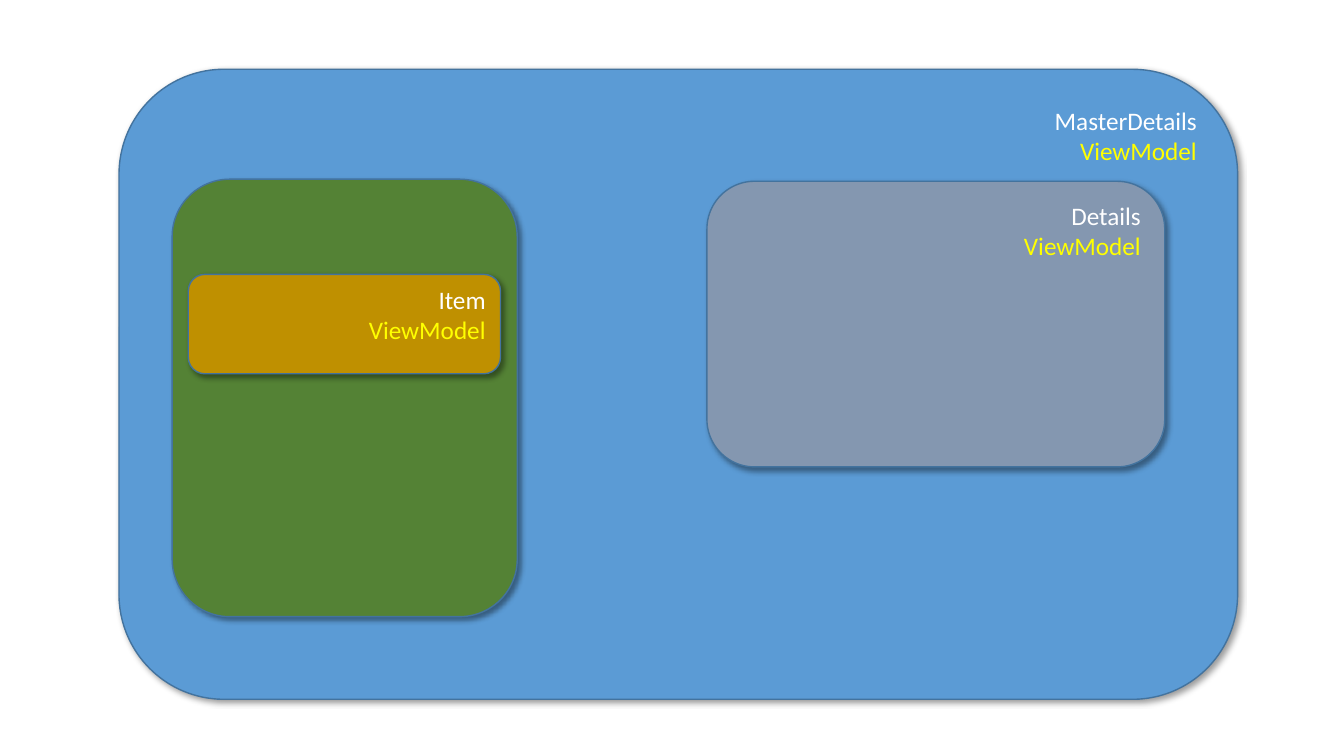
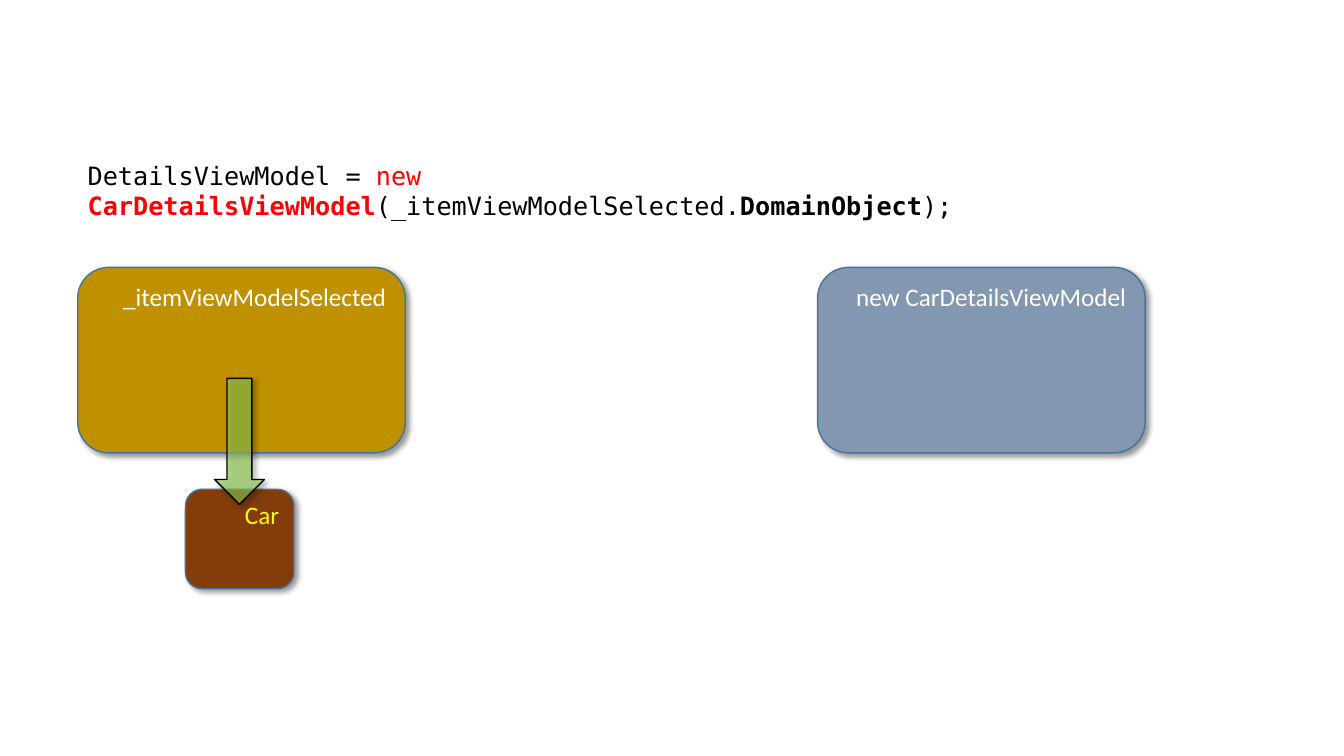
from lxml.etree import SubElement
from pptx import Presentation
from pptx.dml.color import RGBColor
from pptx.enum.shapes import MSO_SHAPE as Preset
from pptx.enum.text import MSO_ANCHOR as Anchor, MSO_AUTO_SIZE as AutoSize, PP_ALIGN as Align
from pptx.oxml.ns import qn
from pptx.util import Pt

# Shared look
WHITE, YELLOW, BLACK, RED = "FFFFFF", "FFFF00", "000000", "FF0000"
MASTER, LIST, ITEM, DETAILS = "5B9BD5", "548235", "BF9000", "8497B0"
DOMAIN, ARROW, OUTLINE = "843C0B", "92D050", "43739E"
LABEL_FONT, CODE_FONT = "Calibri", "DejaVu Sans Mono"


def rgb(hex_color):
    return RGBColor.from_string(hex_color)


def set_all(target, values):
    for attribute, value in values.items():
        setattr(target, attribute, value)


def add_run(paragraph, text, color, font=LABEL_FONT, bold=False):
    run = paragraph.add_run()
    run.text = text
    set_all(run.font, {"name": font, "size": Pt(18), "bold": bold})
    run.font.color.rgb = rgb(color)


def add_shadow(shape):
    shape.shadow.inherit = False
    effects = shape._element.spPr.find(qn("a:effectLst"))
    shadow = SubElement(effects, qn("a:outerShdw"), blurRad=str(Pt(4)),
                        dist=str(Pt(3)), dir="2700000", algn="tl", rotWithShape="0")
    tint = SubElement(shadow, qn("a:srgbClr"), val=BLACK)
    SubElement(tint, qn("a:alpha"), val="40000")


def add_block(slide, preset, box, fill, outline=OUTLINE):
    block = slide.shapes.add_shape(preset, *map(Pt, box))
    block.fill.solid()
    block.fill.fore_color.rgb = rgb(fill)
    block.line.color.rgb = rgb(outline)
    block.line.width = Pt(1)
    add_shadow(block)
    return block


def add_card(slide, box, fill, *lines):
    """Rounded card with (text, color) lines at its top right."""
    card = add_block(slide, Preset.ROUNDED_RECTANGLE, box, fill)
    frame = card.text_frame
    set_all(frame, {"word_wrap": True, "vertical_anchor": Anchor.TOP})
    for index, (text, color) in enumerate(lines):
        paragraph = frame.add_paragraph() if index else frame.paragraphs[0]
        paragraph.alignment = Align.RIGHT
        add_run(paragraph, text, color)


def inside(box, dx, dy, width, height):
    return box[0] + dx, box[1] + dy, width, height


def view_model(name):
    return (name, WHITE), ("ViewModel", YELLOW)


# Slide 1: nested view models
def add_item_list(slide, box):
    add_card(slide, box, LIST)
    add_card(slide, inside(box, 11.5, 68, 223, 71), ITEM, *view_model("Item"))


def build_master_details(slide, box):
    add_card(slide, box, MASTER, *view_model("MasterDetails"))
    add_item_list(slide, inside(box, 38, 78.5, 246.5, 312.5))
    add_card(slide, inside(box, 420, 80, 327, 204), DETAILS, *view_model("Details"))


# Slide 2: creating the details view model
def add_code(slide, box):
    frame = slide.shapes.add_textbox(*map(Pt, box)).text_frame
    set_all(frame, {"word_wrap": True, "auto_size": AutoSize.SHAPE_TO_FIT_TEXT})
    for text, color, bold in (
        ("DetailsViewModel = ", BLACK, False),
        ("new ", RED, False),
        ("CarDetailsViewModel", RED, True),
        ("(_itemViewModelSelected.", BLACK, False),
        ("DomainObject", BLACK, True),
        (");", BLACK, False),
    ):
        add_run(frame.paragraphs[0], text, color, CODE_FONT, bold)


def add_selected_item(slide, box):
    add_card(slide, box, ITEM, ("_itemViewModelSelected", WHITE))
    add_card(slide, inside(box, 77, 158.5, 77.5, 71), DOMAIN, ("Car", YELLOW))
    arrow = add_block(slide, Preset.RIGHT_ARROW, inside(box, 70.5, 106.5, 90, 35.5),
                      ARROW, BLACK)
    arrow.rotation = 90
    tint = arrow._element.spPr.find(qn("a:solidFill")).find(qn("a:srgbClr"))
    SubElement(tint, qn("a:alpha"), val="60000")


def build_details_creation(slide, box):
    card_size = 234, 132.5
    add_selected_item(slide, inside(box, 0, 80, *card_size))
    add_code(slide, inside(box, 0, 0, box[2], 29))
    add_card(slide, inside(box, 528.5, 80, *card_size), DETAILS,
             ("new CarDetailsViewModel", WHITE))


def main():
    deck = Presentation()
    set_all(deck, {"slide_width": Pt(960), "slide_height": Pt(540)})
    for build, box in (
        (build_master_details, (85, 49.5, 799, 450)),
        (build_details_creation, (55.5, 111, 841, 310)),
    ):
        build(deck.slides.add_slide(deck.slide_layouts[6]), box)
    deck.save("out.pptx")


if __name__ == "__main__":
    main()
